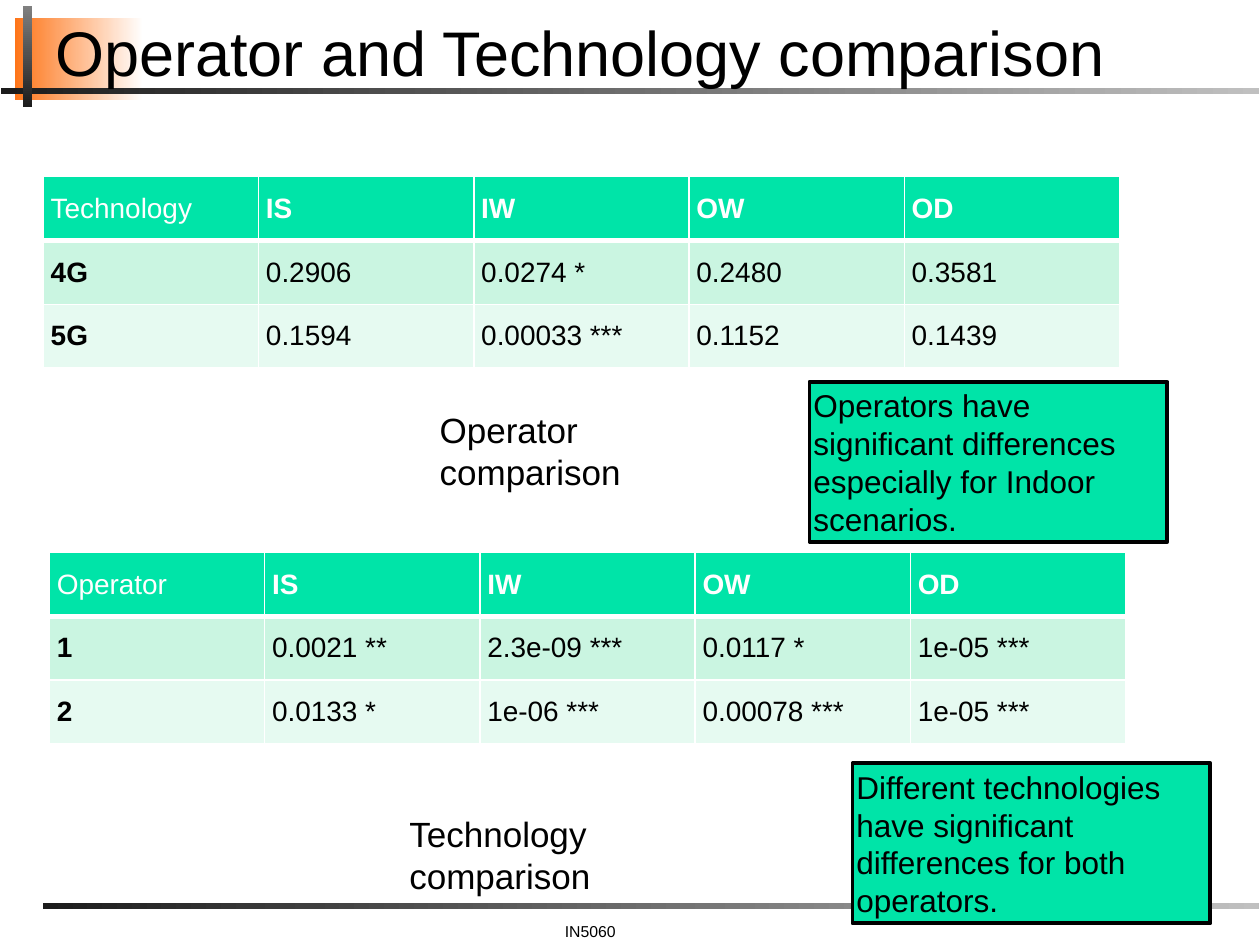
from dataclasses import dataclass

from lxml import etree
from pptx import Presentation
from pptx.dml.color import RGBColor
from pptx.enum.shapes import MSO_SHAPE
from pptx.enum.text import MSO_ANCHOR, PP_ALIGN
from pptx.oxml.ns import qn
from pptx.util import Pt

RECTANGLE = MSO_SHAPE.RECTANGLE
TOP, MIDDLE, BOTTOM = MSO_ANCHOR.TOP, MSO_ANCHOR.MIDDLE, MSO_ANCHOR.BOTTOM
LEFT, CENTER = PP_ALIGN.LEFT, PP_ALIGN.CENTER


@dataclass(frozen=True)
class Theme:
    font: str = "Arial"
    title_size: float = 36
    caption_size: float = 20
    callout_size: float = 18
    table_size: float = 16
    footer_size: float = 9
    black: str = "000000"
    white: str = "FFFFFF"
    orange: str = "FE7519"
    dark: str = "1C1C1C"
    gray: str = "808080"
    silver: str = "C0C0C0"
    green: str = "00E4A8"
    bands: tuple = ("CAF5E1", "E6FAF1")


THEME = Theme()
COLUMN_WIDTH, ROW_HEIGHT = 123, 35.7
SCENARIOS = ["IS", "IW", "OW", "OD"]


def rgb(color):
    return RGBColor.from_string(color)


def write_text(frame, text, size, color=THEME.black, bold=False, align=LEFT):
    frame.text = text
    para = frame.paragraphs[0]
    para.alignment = align
    font = para.runs[0].font
    font.name, font.size, font.bold = THEME.font, Pt(size), bold
    font.color.rgb = rgb(color)
    return para


def set_margins(target, left, top, right, bottom):
    target.margin_left, target.margin_top = Pt(left), Pt(top)
    target.margin_right, target.margin_bottom = Pt(right), Pt(bottom)


def add_rectangle(page, left, top, width, height):
    box = page.shapes.add_shape(RECTANGLE, Pt(left), Pt(top), Pt(width), Pt(height))
    box.shadow.inherit = False
    return box


def add_gradient_bar(page, bounds, start, end, rotation=0):
    bar = add_rectangle(page, *bounds)
    bar.rotation = rotation
    bar.line.fill.background()
    bar.fill.gradient()
    bar.fill.gradient_angle = 0
    for stop, color in zip(bar.fill.gradient_stops, (start, end)):
        stop.color.rgb = rgb(color)


def add_label(page, bounds, text, size, margins=(7.2, 3.6, 7.2, 3.6),
              anchor=TOP, align=LEFT):
    box = page.shapes.add_textbox(*(Pt(value) for value in bounds))
    frame = box.text_frame
    frame.word_wrap = True
    frame.vertical_anchor = anchor
    set_margins(frame, *margins)
    return write_text(frame, text, size, align=align)


def add_callout(page, left, top, text):
    box = add_rectangle(page, left, top, 204.5, 91.5)
    box.fill.solid()
    box.fill.fore_color.rgb = rgb(THEME.green)
    box.line.color.rgb = rgb(THEME.black)
    box.line.width = Pt(2.25)
    frame = box.text_frame
    frame.word_wrap = True
    frame.vertical_anchor = MIDDLE
    set_margins(frame, 2.2, 2.2, 2.2, 2.2)
    write_text(frame, text, THEME.callout_size)


def add_border(cell, side, width):
    properties = cell._tc.get_or_add_tcPr()
    line = etree.SubElement(properties, qn(f"a:ln{side}"), w=str(Pt(width)))
    fill = etree.SubElement(line, qn("a:solidFill"))
    etree.SubElement(fill, qn("a:srgbClr"), val=THEME.white)


def format_cell(cell, text, row, column):
    header = row == 0
    cell.vertical_anchor = MIDDLE
    set_margins(cell, 4.2, 8.64, 4.2, 8.64)
    # The rule under the header row is heavier than the rest
    add_border(cell, "L", 1)
    add_border(cell, "R", 1)
    add_border(cell, "T", 3 if row == 1 else 1)
    add_border(cell, "B", 3 if header else 1)
    cell.fill.solid()
    cell.fill.fore_color.rgb = rgb(THEME.green if header else THEME.bands[row - 1])
    # Headings are bold, except the corner cell
    write_text(cell.text_frame, text, THEME.table_size,
               THEME.white if header else THEME.black,
               bold=header != (column == 0))


def add_result_table(page, left, top, rows):
    count = len(rows[0])
    table = page.shapes.add_table(
        len(rows), count, Pt(left), Pt(top),
        Pt(COLUMN_WIDTH * count), Pt(ROW_HEIGHT * len(rows))).table
    for column in table.columns:
        column.width = Pt(COLUMN_WIDTH)
    for row_index, row in enumerate(rows):
        table.rows[row_index].height = Pt(ROW_HEIGHT)
        for column_index, text in enumerate(row):
            format_cell(table.cell(row_index, column_index), text,
                        row_index, column_index)


def main():
    deck = Presentation()
    deck.slide_width, deck.slide_height = Pt(720), Pt(540)
    page = deck.slides.add_slide(deck.slide_layouts[6])

    # Frame and footer
    add_gradient_bar(page, (8.6, 10.1, 73.4, 47), THEME.orange, THEME.white)
    add_label(page, (136, 524.2, 402.5, 16.6), "IN5060", THEME.footer_size,
              margins=(7.2, 2.2, 7.2, 3.6), align=CENTER)
    add_gradient_bar(page, (0.7, 50.4, 718.6, 3.5), THEME.dark, THEME.silver)
    add_gradient_bar(page, (-13, 29.8, 57.6, 5), THEME.dark, THEME.gray, rotation=270)
    add_gradient_bar(page, (24.5, 515.8, 694.8, 3.5), THEME.dark, THEME.silver)

    # Title
    title = add_label(page, (24.5, 10.1, 692.6, 43.9),
                      "Operator and Technology comparison", THEME.title_size,
                      margins=(7.2, 3.6, 2.9, 3.6), anchor=BOTTOM)
    title.line_spacing = 0.8

    # Results
    add_result_table(page, 24.8, 101, [
        ["Technology", *SCENARIOS],
        ["4G", "0.2906", "0.0274 *", "0.2480", "0.3581"],
        ["5G", "0.1594", "0.00033 ***", "0.1152", "0.1439"],
    ])
    add_result_table(page, 28.3, 315.7, [
        ["Operator", *SCENARIOS],
        ["1", "0.0021 **", "2.3e-09 ***", "0.0117 *", "1e-05 ***"],
        ["2", "0.0133 *", "1e-06 ***", "0.00078 ***", "1e-05 ***"],
    ])

    # Captions and findings
    add_label(page, (244.1, 230, 195.1, 55.4), "Operator comparison",
              THEME.caption_size)
    add_label(page, (226.8, 460.8, 217.4, 55.4), "Technology comparison",
              THEME.caption_size)
    add_callout(page, 462.6, 218.2, "Operators have significant differences "
                "especially for Indoor scenarios.")
    add_callout(page, 487.2, 436.2, "Different technologies have significant "
                "differences for both operators.")

    deck.save("out.pptx")


if __name__ == "__main__":
    main()
